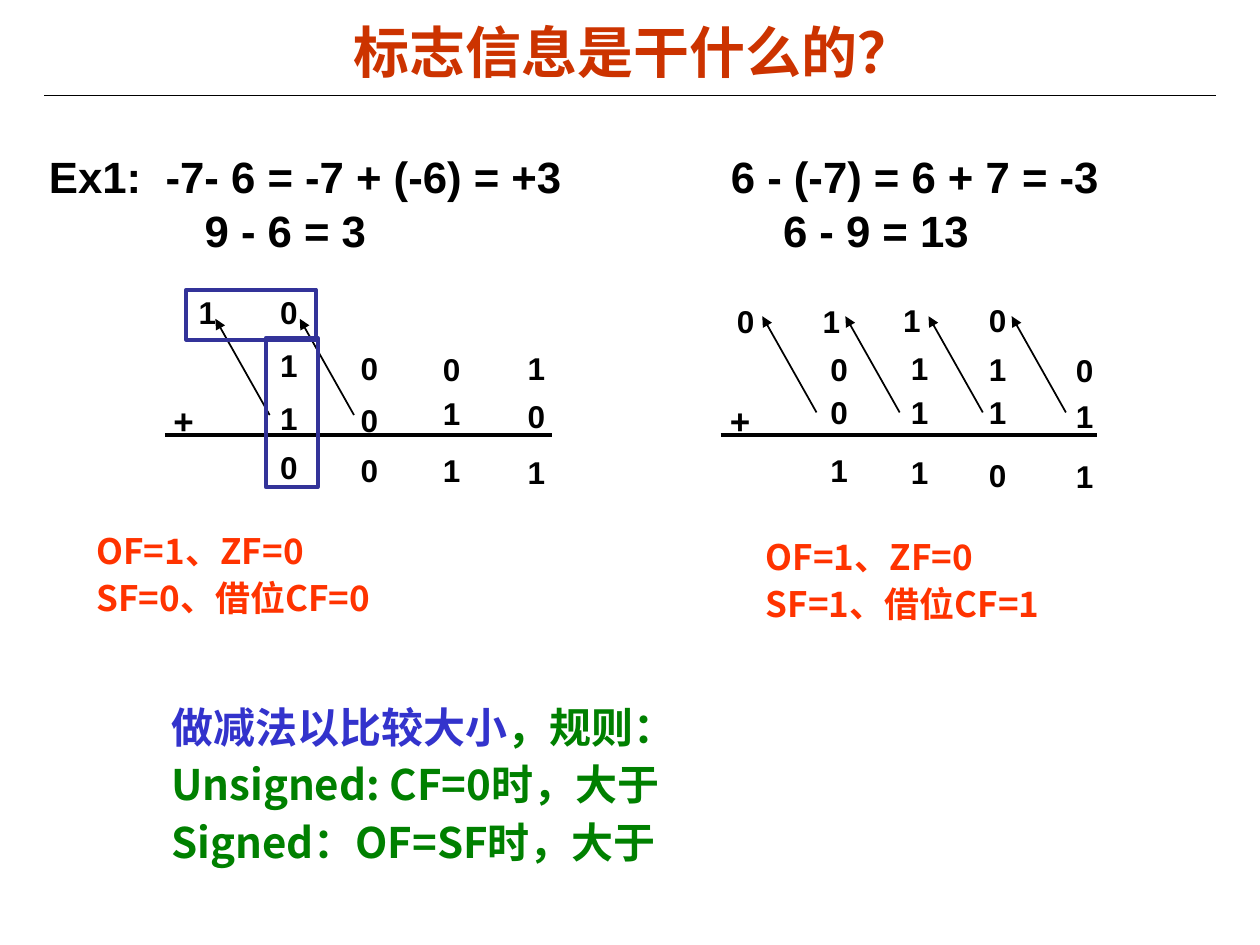
from lxml import etree
from pptx import Presentation
from pptx.dml.color import RGBColor
from pptx.enum.shapes import MSO_CONNECTOR, MSO_SHAPE
from pptx.enum.text import MSO_ANCHOR, PP_ALIGN
from pptx.oxml.ns import qn
from pptx.util import Pt

SANS, CJK = "Arial", "Noto Sans CJK SC"
BLACK, RED, ORANGE = "000000", "CC3300", "FF3300"
NAVY, BLUE, GREEN = "333399", "3333CC", "008000"


def rgb(value):
    return RGBColor.from_string(value)


def style(font, size, color, name=SANS):
    font.size, font.bold, font.name = Pt(size), True, name
    font.color.rgb = rgb(color)


def add_line(s, x1, y1, x2, y2, width, arrow=False):
    line = s.shapes.add_connector(MSO_CONNECTOR.STRAIGHT, Pt(x1), Pt(y1), Pt(x2), Pt(y2))
    line.line.color.rgb = rgb(BLACK)
    line.line.width = Pt(width)
    if arrow:
        etree.SubElement(line.line._get_or_add_ln(), qn("a:tailEnd"), type="triangle")
    etree.SubElement(line._element.spPr, qn("a:effectLst"))


def add_box(s, x, y, w, h, wrap=True):
    """Add an empty text box and return its text frame."""
    tf = s.shapes.add_textbox(Pt(x), Pt(y), Pt(w), Pt(h)).text_frame
    tf.word_wrap = wrap
    return tf


def add_title(s, x, y, w, h, text):
    title = s.shapes.title
    title.left, title.top, title.width, title.height = Pt(x), Pt(y), Pt(w), Pt(h)
    tf = title.text_frame
    tf.margin_left = tf.margin_right = Pt(5)
    tf.margin_top = tf.margin_bottom = Pt(2)
    tf.vertical_anchor = MSO_ANCHOR.MIDDLE
    p = tf.paragraphs[0]
    p.text, p.alignment = text, PP_ALIGN.CENTER
    style(p.font, 32, RED)
    add_line(s, 25.2, 54.7, 694.8, 54.7, 0.75)


def add_equations(s, x, y, w, h, rows):
    """Each row is (text, tab positions, line spacing)."""
    tf = add_box(s, x, y, w, h)
    tf.margin_left = tf.margin_right = Pt(5)
    tf.margin_top = tf.margin_bottom = Pt(2)
    for i, (text, tabs, spacing) in enumerate(rows):
        p = tf.paragraphs[0] if i == 0 else tf.add_paragraph()
        p.text, p.line_spacing = text, spacing
        tab_list = etree.SubElement(p._p.get_or_add_pPr(), qn("a:tabLst"))
        for tab in tabs:
            etree.SubElement(tab_list, qn("a:tab"), pos=str(Pt(tab)), algn="l")
        style(p.font, 25, BLACK)


def add_symbol(s, x, y, text, size=18):
    p = add_box(s, x, y, 24.5, 28.8, wrap=False).paragraphs[0]
    p.text = text
    style(p.font, size, BLACK)


def add_sum(s, x, y, rows, rule, arrows):
    """Binary addition; rows are (bits, lefts, tops), arrows (count, left, top, step)."""
    for bits, lefts, tops in rows:
        for bit, left, top in zip(bits, lefts, tops):
            add_symbol(s, x + left, y + top, bit)
    add_symbol(s, x, y + 60.6, "+", 20)
    add_line(s, x + rule[0], y + 84.4, x + rule[1], y + 84.4, 2.25)
    count, left, top, step = arrows
    for i in range(count):
        head = x + left + i * step
        add_line(s, head + 31, y + top + 55, head, y + top, 1, arrow=True)


def add_frame(s, x, y, w, h):
    sp = s.shapes.add_shape(MSO_SHAPE.RECTANGLE, Pt(x), Pt(y), Pt(w), Pt(h))
    sp.shadow.inherit = False
    sp.fill.background()
    sp.line.color.rgb = rgb(NAVY)
    sp.line.width = Pt(2.25)


def add_note(s, x, y, w, h, lines, size, spacing):
    """Each line is a list of (text, colour) runs."""
    tf = add_box(s, x, y, w, h)
    for i, runs in enumerate(lines):
        p = tf.paragraphs[0] if i == 0 else tf.add_paragraph()
        p.line_spacing = Pt(spacing)
        for text, color in runs:
            r = p.add_run()
            r.text = text
            style(r.font, size, color, CJK)
            etree.SubElement(r._r.get_or_add_rPr(), qn("a:ea"), typeface=CJK)


def add_flags(s, x, y, w, h, *lines):
    add_note(s, x, y, w, h, [[(text, ORANGE)] for text in lines], 20, 27)


def main():
    prs = Presentation()
    prs.slide_width, prs.slide_height = Pt(720), Pt(540)
    s = prs.slides.add_slide(prs.slide_layouts[5])

    add_title(s, 41, 8, 642, 42.5, "标志信息是干什么的？")
    add_equations(s, 23, 85.7, 675, 63.4, [
        ("Ex1:\t-7- 6 = -7 + (-6) = +3\t6 - (-7) = 6 + 7 = -3", (66.7, 389.7), 0.95),
        ("\t9 - 6 = 3\t6 - 9 = 13", (89, 419.5), Pt(30.3)),
    ])

    cols = (61, 107, 154, 202.5)
    add_sum(s, 92, 164, [
        ("10", (14.5, 61), (0, 0)),
        ("1001", cols, (30.4, 32, 32.6, 32)),
        ("1010"[:1] + "010", cols, (60.6, 61.4, 57.8, 59.2)),
        ("0011", cols, (88.7, 90.2, 90.2, 91.6)),
    ], (2.3, 223.4), (2, 31.1, 18.2, 48.2))
    add_frame(s, 106.5, 165.5, 74, 28.8)
    add_frame(s, 152, 193, 29.5, 85.5)

    cols = (57.5, 103.4, 148, 197.7)
    add_sum(s, 410, 164, [
        ("0110", (4, 53, 99, 148), (5.2, 5.2, 4.5, 4.5)),
        ("0110", cols, (32.6, 31.8, 32.6, 33.3)),
        ("0111", cols, (57, 57, 57, 59.2)),
        ("1101", cols, (90.2, 91.6, 93, 93.8)),
    ], (1.8, 217), (4, 25.6, 16.7, 47.5))

    add_flags(s, 48, 296, 322.5, 59, "OF=1、ZF=0", "SF=0、借位CF=0")
    add_flags(s, 430.5, 299.5, 265, 59, "OF=1、ZF=0", "SF=1、借位CF=1")
    add_note(s, 90.7, 393.8, 485, 102, [
        [("做减法以比较大小", BLUE), ("，规则：", GREEN)],
        [("Unsigned: CF=0时，大于", GREEN)],
        [("Signed：OF=SF时，大于", GREEN)],
    ], 24, 32.6)

    prs.save("out.pptx")


if __name__ == "__main__":
    main()
